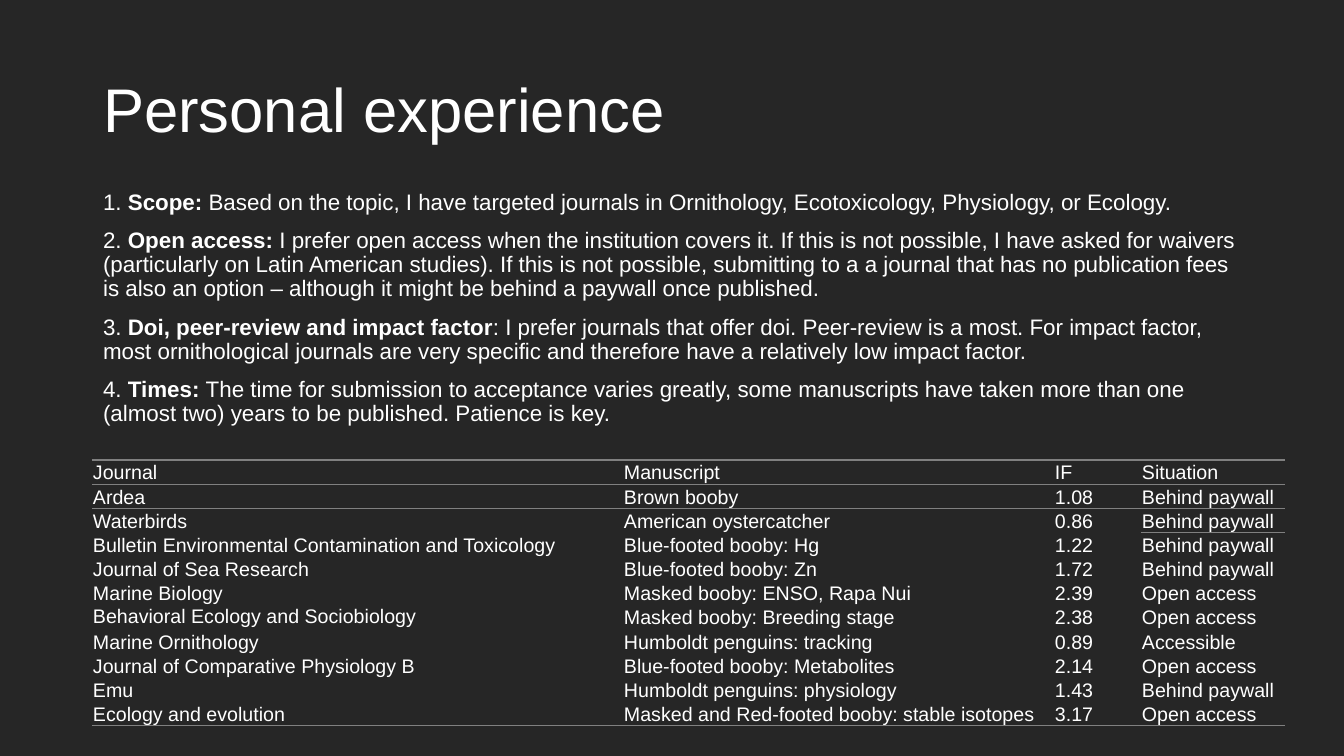
from lxml.etree import SubElement
from pptx import Presentation
from pptx.dml.color import RGBColor
from pptx.enum.text import MSO_ANCHOR, MSO_AUTO_SIZE, PP_ALIGN
from pptx.oxml.ns import qn
from pptx.util import Pt

TITLE = "Personal experience"
POINTS = [
    ("1. ", "Scope: ", "Based on the topic, I have targeted journals in Ornithology, Ecotoxicology, "
     "Physiology, or Ecology."),
    ("2. ", "Open access: ", "I prefer open access when the institution covers it. If this is not possible, "
     "I have asked for waivers (particularly on Latin American studies). If this is not possible, submitting "
     "to a a journal that has no publication fees is also an option – although it might be behind a paywall "
     "once published."),
    ("3. ", "Doi, peer-review and impact factor", ": I prefer journals that offer doi. Peer-review is a most. "
     "For impact factor, most ornithological journals are very specific and therefore have a relatively low "
     "impact factor."),
    ("4. ", "Times: ", "The time for submission to acceptance varies greatly, some manuscripts have taken more "
     "than one (almost two) years to be published. Patience is key."),
]
PAPERS = [
    ("Journal", "Manuscript", "IF", "Situation"),
    ("Ardea", "Brown booby", "1.08", "Behind paywall"),
    ("Waterbirds", "American oystercatcher", "0.86", "Behind paywall"),
    ("Bulletin Environmental Contamination and Toxicology", "Blue-footed booby: Hg", "1.22", "Behind paywall"),
    ("Journal of Sea Research", "Blue-footed booby: Zn", "1.72", "Behind paywall"),
    ("Marine Biology", "Masked booby: ENSO, Rapa Nui", "2.39", "Open access"),
    ("Behavioral Ecology and Sociobiology", "Masked booby: Breeding stage", "2.38", "Open access"),
    ("Marine Ornithology", "Humboldt penguins: tracking", "0.89", "Accessible"),
    ("Journal of Comparative Physiology B", "Blue-footed booby: Metabolites", "2.14", "Open access"),
    ("Emu", "Humboldt penguins: physiology", "1.43", "Behind paywall"),
    ("Ecology and evolution", "Masked and Red-footed booby: stable isotopes", "3.17", "Open access"),
]
COLUMN_WIDTHS = (531, 431, 87, 144)
TABLE_HEIGHT = 266
LAST_ROW = len(PAPERS) - 1
SITUATION_COLUMN = 3
TOP_ALIGNED_CELL = (6, 0)
BACKGROUND, WHITE, RULE = "262626", "FFFFFF", "808080"
NO_GRID_STYLE = "{2D5ABB26-0587-4C30-8999-92F81FD0307C}"
EMU_PER_PX = 914400 / 100.8


def px(length):
    return round(length * EMU_PER_PX)


def color(value):
    return RGBColor.from_string(value)


def apply(target, values):
    for name, value in values.items():
        setattr(target, name, value)


def place(shape, left, top, width, height):
    apply(shape, {"left": px(left), "top": px(top), "width": px(width), "height": px(height)})


def add_span(para, text, size, bold=False):
    span = para.add_run()
    span.text = text
    apply(span.font, {"name": "Arial", "size": Pt(size), "bold": bold})
    span.font.color.rgb = color(WHITE)


def add_title(page):
    title = page.shapes.title
    place(title, 93, 40, 1159, 146)
    apply(title.text_frame, {"vertical_anchor": MSO_ANCHOR.MIDDLE, "auto_size": MSO_AUTO_SIZE.NONE})
    para = title.text_frame.paragraphs[0]
    apply(para, {"alignment": PP_ALIGN.LEFT, "line_spacing": 0.9})
    add_span(para, TITLE, 44)


def add_points(page):
    body = page.placeholders[1]
    place(body, 93, 186, 1159, 244)
    frame = body.text_frame
    frame.auto_size = MSO_AUTO_SIZE.NONE
    for index, (number, topic, advice) in enumerate(POINTS):
        para = frame.add_paragraph() if index else frame.paragraphs[0]
        apply(para, {"line_spacing": 0.9, "space_before": Pt(10)})
        properties = para._p.get_or_add_pPr()
        properties.set("marL", "0")
        properties.set("indent", "0")
        SubElement(properties, qn("a:buNone"))
        add_span(para, number, 16)
        add_span(para, topic, 16, bold=True)
        add_span(para, advice, 16)


def add_rule(cell, side):
    line = SubElement(cell._tc.get_or_add_tcPr(), qn(f"a:{side}"), w=str(Pt(1)))
    fill = SubElement(line, qn("a:solidFill"))
    SubElement(fill, qn("a:srgbClr"), val=RULE)


def fill_cell(cell, text, row, column):
    anchor = MSO_ANCHOR.TOP if (row, column) == TOP_ALIGNED_CELL else MSO_ANCHOR.BOTTOM
    apply(cell, {"margin_left": px(1), "margin_right": px(1), "margin_top": px(1),
                 "margin_bottom": 0, "vertical_anchor": anchor})
    below_situation = column == SITUATION_COLUMN
    if row in (0, 1) or (row == 2 and below_situation):
        add_rule(cell, "lnT")
    if row in (0, LAST_ROW) or (row == 1 and below_situation):
        add_rule(cell, "lnB")
    cell.fill.background()
    add_span(cell.text_frame.paragraphs[0], text, 14)


def add_papers(page):
    frame = page.shapes.add_table(len(PAPERS), len(COLUMN_WIDTHS), px(92), px(460),
                                  px(sum(COLUMN_WIDTHS)), px(TABLE_HEIGHT))
    table = frame.table
    apply(table, {"first_row": False, "horz_banding": False})
    table._tbl.tblPr.find(qn("a:tableStyleId")).text = NO_GRID_STYLE
    for column, width in zip(table.columns, COLUMN_WIDTHS):
        column.width = px(width)
    for row, paper in enumerate(PAPERS):
        for column, text in enumerate(paper):
            fill_cell(table.cell(row, column), text, row, column)


def main():
    """Build the slide on personal publishing experience."""
    deck = Presentation()
    apply(deck, {"slide_width": px(1344), "slide_height": px(756)})
    page = deck.slides.add_slide(deck.slide_layouts[1])
    page.background.fill.solid()
    page.background.fill.fore_color.rgb = color(BACKGROUND)
    add_title(page)
    add_points(page)
    add_papers(page)
    deck.save("out.pptx")


if __name__ == "__main__":
    main()
